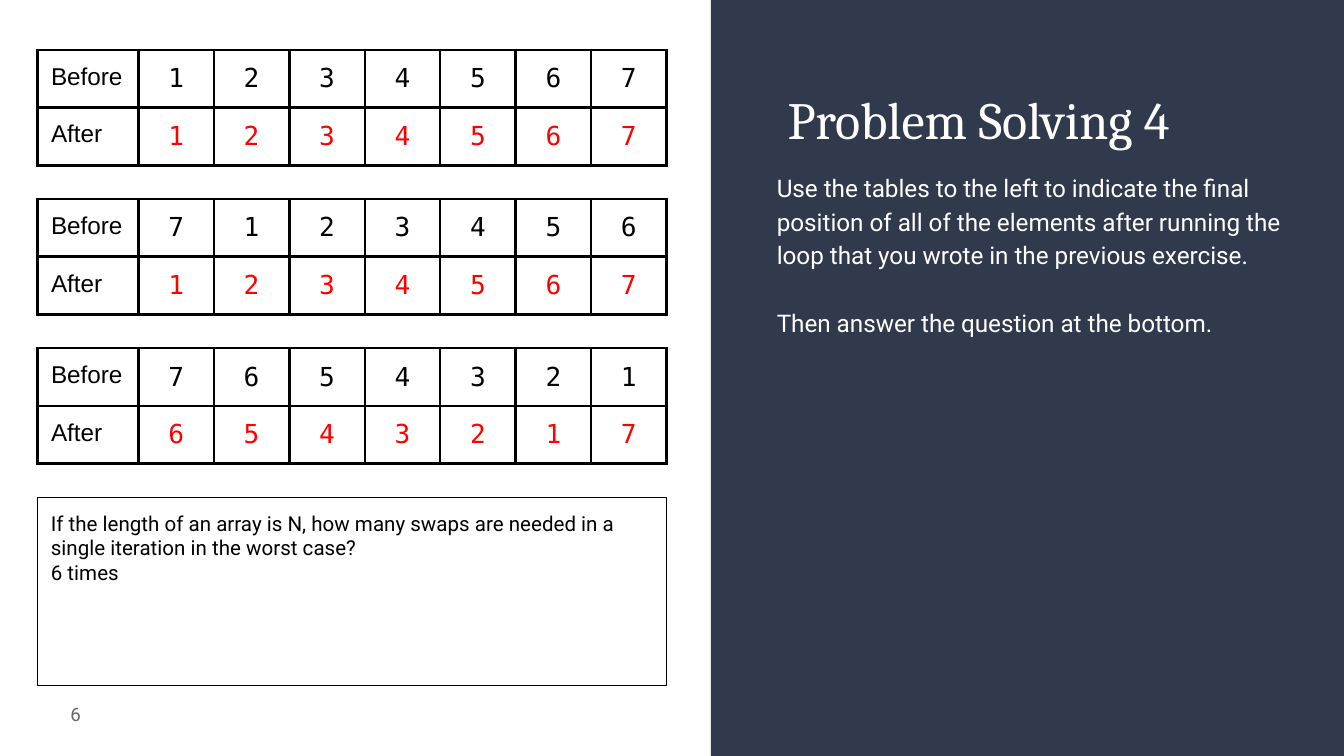
from lxml import etree
from pptx import Presentation
from pptx import util as u
from pptx.dml.color import RGBColor
from pptx.enum import shapes, text
from pptx.oxml.ns import qn

WIDTH = 10
HEIGHT = WIDTH * 9 / 16
LEFT, TOP = 0.28, 0.37
TABLE_W, LABEL_W, ROW_H = 4.68, 0.75, 0.43
TABLE_STEP = 1.11
PANEL_LEFT = 5.29
INSET = 0.1
NAVY, WHITE, BLACK, RED, GREY = "31394D", "FFFFFF", "000000", "FF0000", "666666"

ARRAYS = [
    ("1234567", "1234567"),
    ("7123456", "1234567"),
    ("7654321", "6543217"),
]
INSTRUCTIONS = [
    "Use the tables to the left to indicate the final position of all of the "
    "elements after running the loop that you wrote in the previous exercise.",
    "Then answer the question at the bottom.",
]
QUESTION = [
    "If the length of an array is N, how many swaps are needed in a single "
    "iteration in the worst case?",
    "6 times",
]


def rgb(hex_colour):
    return RGBColor.from_string(hex_colour)


def box(left, top, width, height):
    return [u.Inches(v) for v in (left, top, width, height)]


def write(frame, lines, font, size, colour, align=text.PP_ALIGN.LEFT,
          anchor=text.MSO_ANCHOR.TOP):
    """Fill a text frame with one paragraph per line, all in one style."""
    frame.word_wrap = True
    frame.auto_size = text.MSO_AUTO_SIZE.NONE
    frame.vertical_anchor = anchor
    frame.margin_left = frame.margin_right = u.Inches(INSET)
    frame.margin_top = frame.margin_bottom = u.Inches(INSET)
    frame.text = "\n".join(lines)
    for paragraph in frame.paragraphs:
        style(paragraph, font, size, colour, align)


def style(paragraph, font, size, colour, align):
    paragraph.alignment = align
    paragraph.space_before = u.Pt(0)
    paragraph.font.name = font
    paragraph.font.size = u.Pt(size)
    paragraph.font.color.rgb = rgb(colour)


def place(placeholder, *bounds):
    (placeholder.left, placeholder.top,
     placeholder.width, placeholder.height) = box(*bounds)


def remove_bullet(paragraph):
    properties = paragraph._p.get_or_add_pPr()
    properties.set("marL", "0")
    properties.set("indent", "0")
    bullet = etree.Element(qn("a:buNone"))
    properties.find(qn("a:defRPr")).addprevious(bullet)


def add_rectangle(slide, *bounds):
    rectangle = slide.shapes.add_shape(shapes.MSO_SHAPE.RECTANGLE, *box(*bounds))
    rectangle.shadow.inherit = False
    return rectangle


def add_panel(slide):
    """Put the dark right half behind everything else."""
    panel = add_rectangle(slide, PANEL_LEFT, 0, WIDTH - PANEL_LEFT, HEIGHT)
    panel.fill.solid()
    panel.fill.fore_color.rgb = rgb(NAVY)
    panel.line.fill.background()
    tree = panel.element.getparent()
    tree.insert(2, panel.element)


def add_instructions(slide):
    title, body = slide.shapes.title, slide.placeholders[1]
    place(title, 5.76, 0.55, 4.05, 0.7)
    write(title.text_frame, ["Problem Solving 4"], "Cambria", 28, WHITE)
    place(body, 5.68, 1.16, 4.05, 1.81)
    write(body.text_frame, INSTRUCTIONS, "Roboto", 13, WHITE)
    for paragraph in body.text_frame.paragraphs:
        paragraph.line_spacing = 1.15
        remove_bullet(paragraph)
    body.text_frame.paragraphs[-1].space_before = u.Pt(18)


def set_borders(cell, colour, points):
    properties = cell._tc.get_or_add_tcPr()
    for position, side in enumerate(("lnL", "lnR", "lnT", "lnB")):
        line = etree.Element(qn(f"a:{side}"), w=str(u.Pt(points)))
        fill = etree.SubElement(line, qn("a:solidFill"))
        etree.SubElement(fill, qn("a:srgbClr"), val=colour)
        properties.insert(position, line)


def fill_cell(cell, content, font, size, colour, align, anchor):
    cell.text = content
    style(cell.text_frame.paragraphs[0], font, size, colour, align)
    cell.vertical_anchor = anchor
    cell.margin_left = cell.margin_right = u.Inches(INSET)
    cell.margin_top = cell.margin_bottom = u.Inches(INSET)
    cell.fill.background()
    set_borders(cell, BLACK, 1.5)


def add_array_table(slide, top, before, after):
    rows = [("Before", before, BLACK), ("After", after, RED)]
    table = slide.shapes.add_table(
        len(rows), len(before) + 1,
        *box(LEFT, top, TABLE_W, ROW_H * len(rows))).table
    table.first_row = table.horz_banding = False
    digit_width = (TABLE_W - LABEL_W) / len(before)
    for index, column in enumerate(table.columns):
        column.width = u.Inches(digit_width if index else LABEL_W)
    for row, (label, digits, colour) in zip(table.rows, rows):
        row.height = u.Inches(ROW_H)
        label_cell, *digit_cells = row.cells
        fill_cell(label_cell, label, "Arial", 13, BLACK,
                  text.PP_ALIGN.LEFT, text.MSO_ANCHOR.TOP)
        for cell, digit in zip(digit_cells, digits):
            fill_cell(cell, digit, "DejaVu Sans Mono", 14, colour,
                      text.PP_ALIGN.CENTER, text.MSO_ANCHOR.MIDDLE)


def add_question(slide):
    question = add_rectangle(slide, LEFT, TOP + TABLE_STEP * len(ARRAYS), TABLE_W, 1.4)
    question.fill.background()
    question.line.color.rgb = rgb(BLACK)
    question.line.width = u.Pt(0.75)
    write(question.text_frame, QUESTION, "Roboto", 11, BLACK)


def add_page_number(slide, number):
    page = slide.shapes.add_textbox(*box(0.1, 5.1, 0.6, 0.43))
    write(page.text_frame, [number], "Roboto", 10, GREY,
          text.PP_ALIGN.RIGHT, text.MSO_ANCHOR.MIDDLE)


def main():
    deck = Presentation()
    deck.slide_width, deck.slide_height = u.Inches(WIDTH), u.Inches(HEIGHT)
    slide = deck.slides.add_slide(deck.slide_layouts[1])
    add_panel(slide)
    add_page_number(slide, "6")
    add_instructions(slide)
    for index, (before, after) in enumerate(ARRAYS):
        add_array_table(slide, TOP + TABLE_STEP * index, before, after)
    add_question(slide)
    deck.save("out.pptx")


if __name__ == "__main__":
    main()
